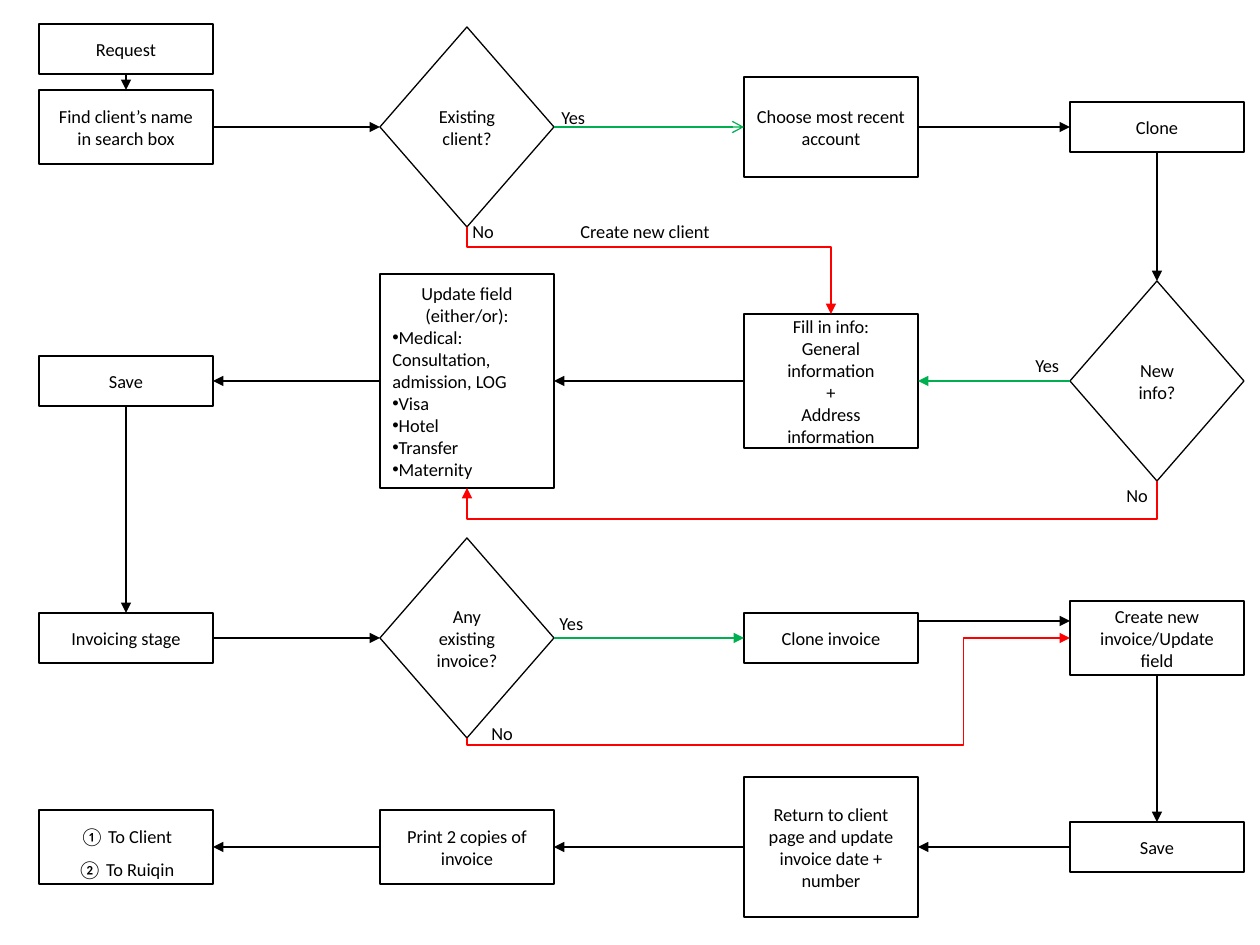
from lxml import etree
from pptx import Presentation
from pptx.dml.color import RGBColor
from pptx.enum import shapes, text
from pptx.oxml.ns import qn
from pptx.util import Pt

PX = 914400 / 126
BLACK = RGBColor(0x00, 0x00, 0x00)
WHITE = RGBColor(0xFF, 0xFF, 0xFF)
GREEN = RGBColor(0x00, 0xB0, 0x50)
RED = RGBColor(0xFF, 0x00, 0x00)

COLUMNS = (39, 380, 744, 1070)
NODE_WIDTH = 174
ROWS = (127, 381, 638, 847)
TOP, LEFT, BOTTOM, RIGHT = range(4)
RECT = shapes.MSO_SHAPE.RECTANGLE
DECISION = shapes.MSO_SHAPE.FLOWCHART_DECISION


def px(value):
    """Turn pixels into EMU."""
    return round(value * PX)


def write(frame, lines, align=text.PP_ALIGN.CENTER, spacing=None, bullets_from=None):
    """Write one paragraph per line, with bullets from the given index on."""
    for index, line in enumerate(lines):
        paragraph = frame.paragraphs[0] if index == 0 else frame.add_paragraph()
        bulleted = bullets_from is not None and index >= bullets_from
        paragraph.alignment = text.PP_ALIGN.LEFT if bulleted else align
        if spacing:
            paragraph.line_spacing = spacing
        if bulleted:
            properties = paragraph._p.get_or_add_pPr()
            properties.set("marL", "0")
            properties.set("indent", "0")
            etree.SubElement(properties, qn("a:buFont"), typeface="Arial")
            etree.SubElement(properties, qn("a:buChar"), char="•")
        run = paragraph.add_run()
        run.text = line
        run.font.name = "Calibri"
        run.font.size = Pt(10.5)
        run.font.color.rgb = BLACK


def add_node(slide, column, middle, height, *lines, kind=RECT, **format):
    """Add a flowchart step centred on a row."""
    node = slide.shapes.add_shape(kind, px(COLUMNS[column]), px(middle - height / 2),
                                  px(NODE_WIDTH), px(height))
    node.shadow.inherit = False
    node.fill.solid()
    node.fill.fore_color.rgb = WHITE
    node.line.color.rgb = BLACK
    node.line.width = Pt(0.75)
    node.text_frame.word_wrap = True
    node.text_frame.vertical_anchor = text.MSO_ANCHOR.MIDDLE
    write(node.text_frame, lines, **format)
    return node


def add_label(slide, left, top, width, wording):
    """Add a caption beside an arrow."""
    label = slide.shapes.add_textbox(px(left), px(top), px(width), px(35))
    label.text_frame.word_wrap = False
    label.text_frame.auto_size = text.MSO_AUTO_SIZE.SHAPE_TO_FIT_TEXT
    write(label.text_frame, [wording], align=text.PP_ALIGN.LEFT)


def add_arrow(slide, start=(0, 0), end=(0, 0), color=BLACK, head="triangle",
              kind=shapes.MSO_CONNECTOR.STRAIGHT):
    """Add a connector with an arrowhead at its end."""
    arrow = slide.shapes.add_connector(kind, *map(px, start + end))
    arrow.line.color.rgb = color
    arrow.line.width = Pt(0.75)
    etree.SubElement(arrow.line._get_or_add_ln(), qn("a:tailEnd"), type=head)
    etree.SubElement(arrow.element.spPr, qn("a:effectLst"))
    return arrow


def link(slide, source, source_site, target, target_site, **format):
    """Join two steps with an arrow."""
    arrow = add_arrow(slide, **format)
    arrow.begin_connect(source, source_site)
    arrow.end_connect(target, target_site)
    return arrow


def link_below(slide, source, target, target_site, bend_y, bend_x=None):
    """Join two steps with a red elbow that leaves the bottom of the first."""
    arrow = link(slide, source, BOTTOM, target, target_site, color=RED,
                 kind=shapes.MSO_CONNECTOR.ELBOW)
    x0, y0, x1, y1 = arrow.begin_x, arrow.begin_y, arrow.end_x, arrow.end_y
    bends = [(px(bend_y) - y0) / (y1 - y0)]
    if bend_x is not None:
        bends.append((px(bend_x) - x0) / (x1 - x0))

    across, down = abs(x1 - x0), abs(y1 - y0)
    arrow.left, arrow.top = (x0 + x1 - down) // 2, (y0 + y1 - across) // 2
    arrow.width, arrow.height = down, across
    frame = arrow.element.spPr.find(qn("a:xfrm"))
    for flip in ("flipH", "flipV"):
        frame.attrib.pop(flip, None)
    frame.set("rot", "16200000" if x1 > x0 else "5400000")
    if x1 > x0 and y1 > y0:
        frame.set("flipH", "1")

    geometry = arrow.element.spPr.find(qn("a:prstGeom"))
    geometry.set("prst", f"bentConnector{len(bends) + 2}")
    guides = geometry.find(qn("a:avLst"))
    for number, bend in enumerate(bends, 1):
        etree.SubElement(guides, qn("a:gd"), name=f"adj{number}",
                         fmla=f"val {round(bend * 100000)}")


def main():
    """Build the client and invoice flowchart."""
    deck = Presentation()
    deck.slide_width, deck.slide_height = px(1260), px(945)
    slide = deck.slides.add_slide(deck.slide_layouts[6])
    search, info, invoicing, closing = ROWS

    request = add_node(slide, 0, 49, 50, "Request")
    find = add_node(slide, 0, search, 74, "Find client’s name in search box")
    existing = add_node(slide, 1, search, 200, "Existing client?", kind=DECISION)
    choose = add_node(slide, 2, search, 100, "Choose most recent account")
    clone = add_node(slide, 3, search, 50, "Clone")

    new_info = add_node(slide, 3, info, 200, "New info?", kind=DECISION)
    fill_in = add_node(slide, 2, info, 134, "Fill in info:", "General information", "+",
                       "Address information")
    update = add_node(slide, 1, info, 214, "Update field (either/or):",
                      "Medical: Consultation, admission, LOG", "Visa", "Hotel",
                      "Transfer", "Maternity", bullets_from=1)
    save_client = add_node(slide, 0, info, 50, "Save")

    stage = add_node(slide, 0, invoicing, 50, "Invoicing stage")
    any_invoice = add_node(slide, 1, invoicing, 200, "Any", "existing invoice?",
                           kind=DECISION)
    clone_invoice = add_node(slide, 2, invoicing, 50, "Clone invoice")
    create = add_node(slide, 3, invoicing, 74, "Create new invoice/Update field")

    save_invoice = add_node(slide, 3, closing, 50, "Save")
    back = add_node(slide, 2, closing, 140,
                    "Return to client page and update invoice date + number")
    print_copies = add_node(slide, 1, closing, 74, "Print 2 copies of invoice")
    recipients = add_node(slide, 0, closing, 74, "① To Client", "② To Ruiqin", spacing=1.5)

    for source, target in ((find, existing), (choose, clone), (stage, any_invoice)):
        link(slide, source, RIGHT, target, LEFT)
    for source, target in ((fill_in, update), (update, save_client), (save_invoice, back),
                           (back, print_copies), (print_copies, recipients)):
        link(slide, source, LEFT, target, RIGHT)
    for source, target in ((request, find), (clone, new_info), (save_client, stage),
                           (create, save_invoice)):
        link(slide, source, BOTTOM, target, TOP)
    add_arrow(slide, (COLUMNS[2] + NODE_WIDTH, 621), (COLUMNS[3], 621))

    link(slide, existing, RIGHT, choose, LEFT, color=GREEN, head="arrow")
    link(slide, new_info, LEFT, fill_in, RIGHT, color=GREEN)
    link(slide, any_invoice, RIGHT, clone_invoice, LEFT, color=GREEN)

    link_below(slide, existing, fill_in, TOP, 247)
    link_below(slide, new_info, update, BOTTOM, 519)
    link_below(slide, any_invoice, create, LEFT, 745, bend_x=963)

    for left, top in ((549, 100), (1023, 348), (547, 606)):
        add_label(slide, left, top, 52, "Yes")
    for left, top in ((460, 214), (1114, 478), (479, 716)):
        add_label(slide, left, top, 47, "No")
    add_label(slide, 568, 214, 158, "Create new client")

    deck.save("out.pptx")


main()
